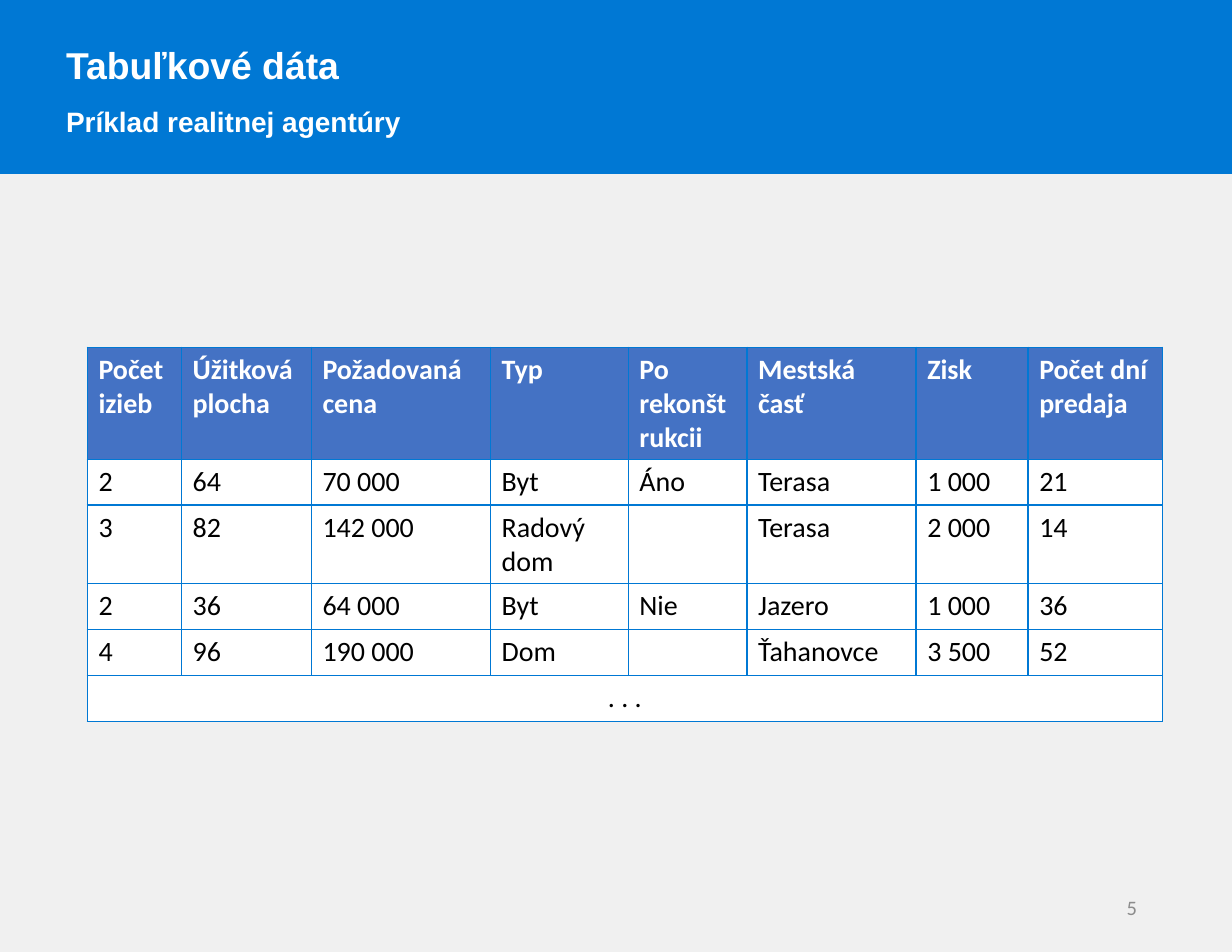
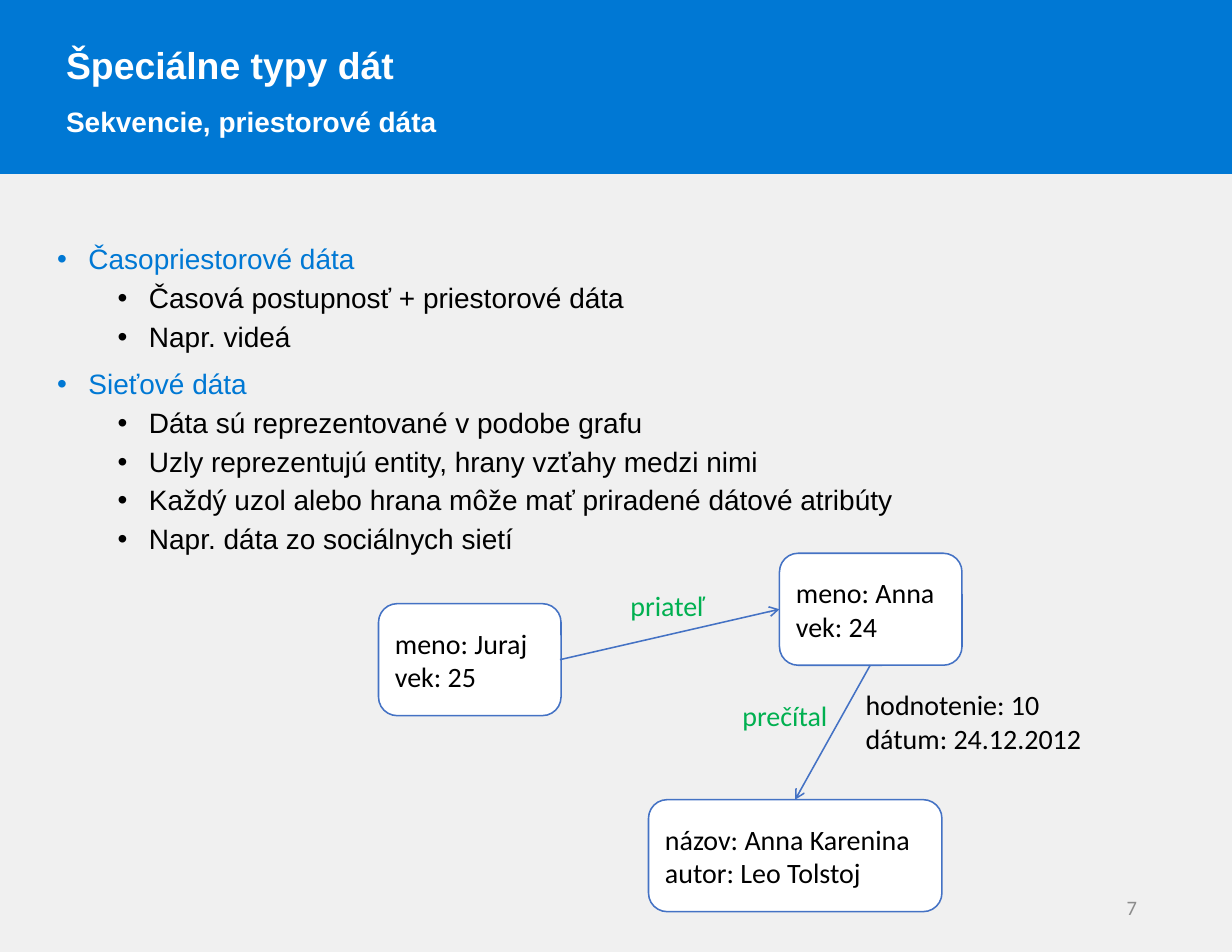
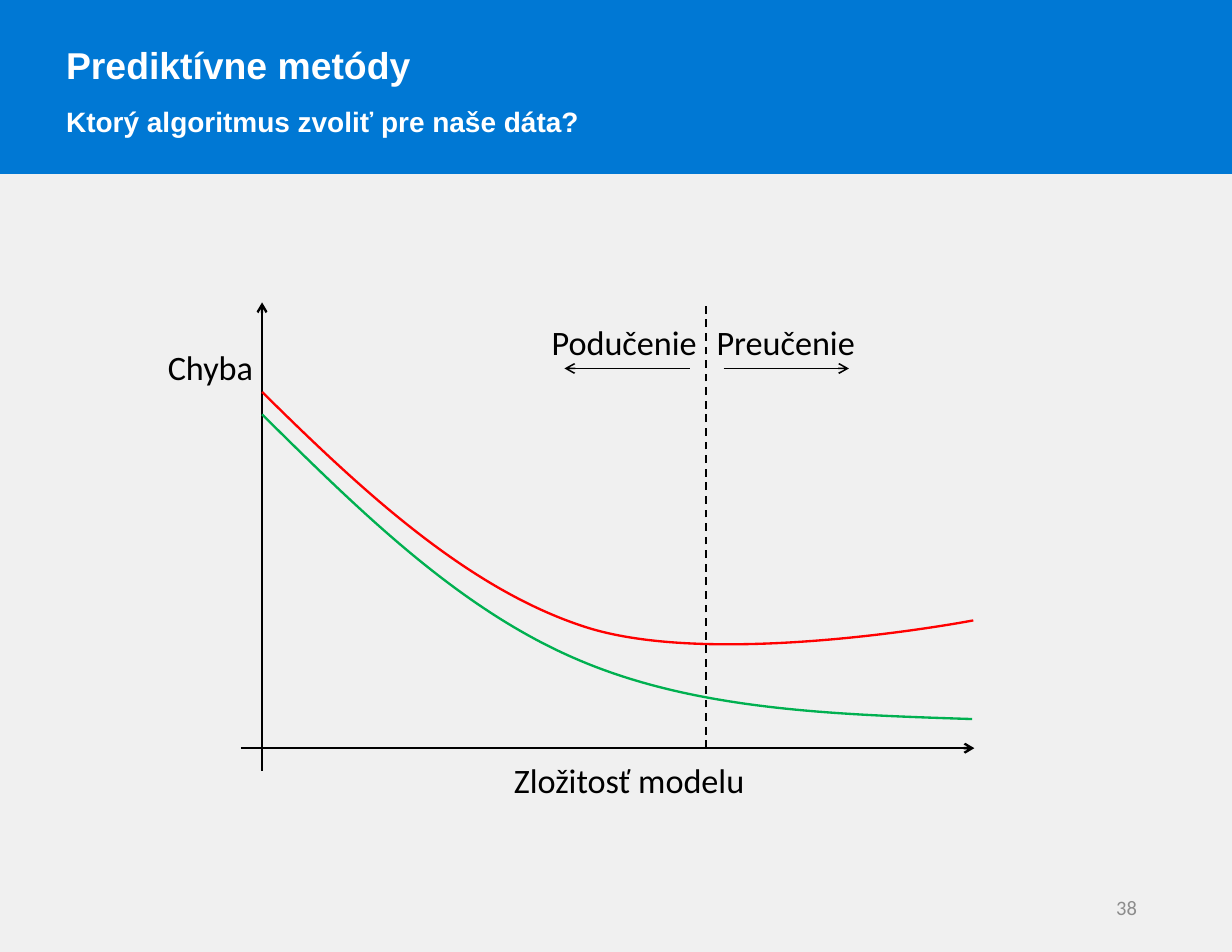
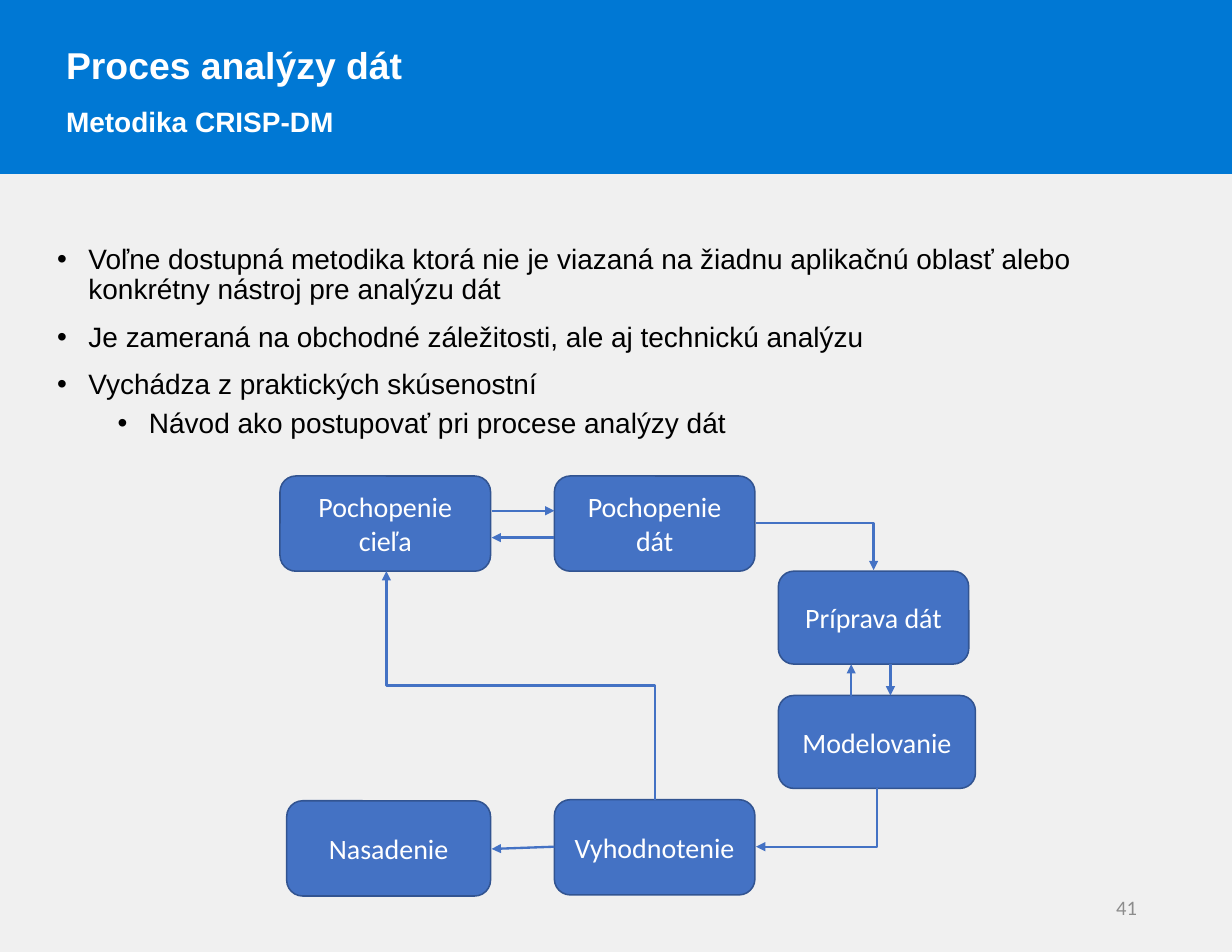
import pptx
import pptx.dml.color
import pptx.enum.dml
import pptx.enum.shapes
import pptx.enum.text
import pptx.oxml
import pptx.oxml.ns
import pptx.util
from lxml import etree

Inches = pptx.util.Inches
Pt = pptx.util.Pt
RGBColor = pptx.dml.color.RGBColor
ALIGN = pptx.enum.text.PP_ALIGN
ANCHOR = pptx.enum.text.MSO_ANCHOR
AUTO_SIZE = pptx.enum.text.MSO_AUTO_SIZE
SHAPE = pptx.enum.shapes.MSO_SHAPE
CONNECTOR = pptx.enum.shapes.MSO_CONNECTOR
DASH = pptx.enum.dml.MSO_LINE.DASH
qn = pptx.oxml.ns.qn

BRAND = RGBColor(0x00, 0x78, 0xD4)
PAGE = RGBColor(0xF0, 0xF0, 0xF0)
BLUE = RGBColor(0x44, 0x72, 0xC4)
NAVY = RGBColor(0x32, 0x54, 0x91)
GREEN = RGBColor(0x00, 0xB0, 0x50)
RED = RGBColor(0xFF, 0x00, 0x00)
GRAY = RGBColor(0x8C, 0x8C, 0x8C)
BLACK = RGBColor(0x00, 0x00, 0x00)
WHITE = RGBColor(0xFF, 0xFF, 0xFF)

TITLE_ONLY, TITLE_AND_BODY = 5, 1
INDENT = 0.28
LEVELS = [
    {"margin": 0.28, "before": 11},
    {"margin": 0.82, "before": 5.5},
]


def apply(obj, values):
    for name, value in values.items():
        setattr(obj, name, value)


def place(shape, at):
    names = ("left", "top", "width", "height")
    apply(shape, dict(zip(names, map(Inches, at))))


def add_run(p, text, color=BLACK, size=18, name="Calibri", bold=False):
    r = p.add_run()
    r.text = text
    apply(r.font, {"size": Pt(size), "name": name, "bold": bold})
    r.font.color.rgb = color


def write(tf, lines, align=ALIGN.LEFT, **font):
    for i, line in enumerate(lines):
        p = tf.add_paragraph() if i else tf.paragraphs[0]
        p.alignment = align
        add_run(p, line, **font)


def set_line(line, color, width):
    line.color.rgb = color
    line.width = Pt(width)


def add_box(s, kind, at, fill, line):
    sp = s.shapes.add_shape(kind, *map(Inches, at))
    sp.shadow.inherit = False
    sp.fill.solid()
    sp.fill.fore_color.rgb = fill
    set_line(sp.line, line, 1)
    return sp


def add_node(s, at, lines, fill, line, color, align):
    sp = add_box(s, SHAPE.ROUNDED_RECTANGLE, at, fill, line)
    apply(sp.text_frame, {"word_wrap": True, "vertical_anchor": ANCHOR.MIDDLE})
    write(sp.text_frame, lines, align, color=color)


def add_label(s, at, lines, align=ALIGN.LEFT, wrap=False, **font):
    tf = s.shapes.add_textbox(*map(Inches, at)).text_frame
    apply(tf, {"word_wrap": wrap, "auto_size": AUTO_SIZE.SHAPE_TO_FIT_TEXT})
    write(tf, lines, align, **font)


def add_line(s, start, end, color, width, arrow=None, dash=None, kind=CONNECTOR.STRAIGHT):
    c = s.shapes.add_connector(kind, *map(Inches, (*start, *end)))
    set_line(c.line, color, width)
    if dash:
        c.line.dash_style = dash
    if arrow:
        tail = etree.SubElement(c.line._get_or_add_ln(), qn("a:tailEnd"))
        tail.set("type", arrow)
    etree.SubElement(c._element.spPr, qn("a:effectLst"))
    return c


def add_elbow(s, at, preset, rotation=0, flip=False):
    x, y, w, h = at
    c = add_line(s, (x, y), (x + w, y + h), BLUE, 1.5, "triangle", kind=CONNECTOR.ELBOW)
    spPr = c._element.spPr
    spPr.find(qn("a:prstGeom")).set("prst", preset)
    xfrm = spPr.find(qn("a:xfrm"))
    if rotation:
        xfrm.set("rot", str(rotation * 60000))
    if flip:
        xfrm.set("flipV", "1")


def add_curve(s, points, height, color):
    start, *rest = [(Inches(x), Inches(y)) for x, y in points]
    builder = s.shapes.build_freeform(*start, scale=1.0)
    builder.add_line_segments(rest, close=False)
    sp = builder.convert_to_shape()
    sp.shadow.inherit = False
    sp.fill.background()
    set_line(sp.line, color, 1.5)
    sp.height = Inches(height)
    outline = sp._element.spPr.find(".//" + qn("a:path"))
    outline.set("h", str(sp.height))
    segments = outline.findall(qn("a:lnTo"))
    for i in range(0, len(segments), 3):
        bezier = etree.SubElement(outline, qn("a:cubicBezTo"))
        for segment in segments[i:i + 3]:
            bezier.append(segment[0])
            outline.remove(segment)


def add_bullets(s, items):
    body = s.placeholders[1]
    place(body, (0.41, 2.14, 10.18, 5.74))
    tf = body.text_frame
    apply(tf, {"auto_size": AUTO_SIZE.NONE, "vertical_anchor": ANCHOR.TOP})
    for i, (level, text, color) in enumerate(items):
        p = tf.add_paragraph() if i else tf.paragraphs[0]
        rule = LEVELS[level]
        before = rule["before"] if i else 0
        apply(p, {"level": level, "line_spacing": 0.9, "space_before": Pt(before)})
        pPr = p._p.get_or_add_pPr()
        pPr.set("marL", str(Inches(rule["margin"])))
        pPr.set("indent", str(-Inches(INDENT)))
        etree.SubElement(pPr, qn("a:buFont")).set("typeface", "Arial")
        etree.SubElement(pPr, qn("a:buChar")).set("char", "•")
        add_run(p, text, color, name="Arial")


def set_borders(cell, color, width):
    tcPr = cell._tc.get_or_add_tcPr()
    for side in ("a:lnL", "a:lnR", "a:lnT", "a:lnB"):
        ln = etree.SubElement(tcPr, qn(side))
        ln.set("w", str(Pt(width)))
        fill = etree.SubElement(ln, qn("a:solidFill"))
        etree.SubElement(fill, qn("a:srgbClr")).set("val", str(color))


def add_grid(s, at, widths, rows, footer):
    frame = s.shapes.add_table(len(rows) + 1, len(widths), *map(Inches, at))
    table = frame.table
    for column, width in zip(table.columns, widths):
        column.width = Inches(width)
    for i, row in enumerate(table.rows):
        for cell in row.cells:
            set_borders(cell, BRAND, 1)
            cell.fill.solid()
            cell.fill.fore_color.rgb = WHITE if i else BLUE
    for i, row in enumerate(rows):
        font = {"color": BLACK} if i else {"color": WHITE, "bold": True}
        for j, text in enumerate(row):
            if text:
                write(table.cell(i, j).text_frame, [text], **font)
    last = len(rows)
    table.cell(last, 0).merge(table.cell(last, len(widths) - 1))
    write(table.cell(last, 0).text_frame, [footer], ALIGN.CENTER)


def add_slide(prs, layout, title, subtitle, number):
    s = prs.slides.add_slide(prs.slide_layouts[layout])
    band = add_box(s, SHAPE.RECTANGLE, (0, 0, 11, 1.55), BRAND, BRAND)
    s.shapes._spTree.insert(2, band._element)
    place(s.shapes.title, (0.49, 0.13, 10.18, 1.11))
    tf = s.shapes.title.text_frame
    apply(tf, {"auto_size": AUTO_SIZE.SHAPE_TO_FIT_TEXT, "vertical_anchor": ANCHOR.TOP})
    for i, (text, size) in enumerate(((title, 24), (subtitle, 18))):
        p = tf.add_paragraph() if i else tf.paragraphs[0]
        apply(p, {"alignment": ALIGN.LEFT, "line_spacing": 1.5, "space_before": Pt(0)})
        add_run(p, text, WHITE, size, "Arial", True)
    tf = s.shapes.add_textbox(*map(Inches, (7.77, 7.88, 2.48, 0.45))).text_frame
    apply(tf, {"word_wrap": True, "vertical_anchor": ANCHOR.MIDDLE})
    write(tf, [str(number)], ALIGN.RIGHT, color=GRAY, size=13.2)
    return s


def table_slide(prs):
    s = add_slide(prs, TITLE_ONLY, "Tabuľkové dáta", "Príklad realitnej agentúry", 5)
    widths = (0.84, 1.16, 1.6, 1.23, 1.06, 1.51, 1, 1.2)
    rows = [
        ("Počet izieb", "Úžitková plocha", "Požadovaná cena", "Typ",
         "Po rekonštrukcii", "Mestská časť", "Zisk", "Počet dní predaja"),
        ("2", "64", "70 000", "Byt", "Áno", "Terasa", "1 000", "21"),
        ("3", "82", "142 000", "Radový dom", "", "Terasa", "2 000", "14"),
        ("2", "36", "64 000", "Byt", "Nie", "Jazero", "1 000", "36"),
        ("4", "96", "190 000", "Dom", "", "Ťahanovce", "3 500", "52"),
    ]
    add_grid(s, (0.78, 3.1, 9.6, 2.46), widths, rows, ". . .")


def network_slide(prs):
    s = add_slide(prs, TITLE_AND_BODY, "Špeciálne typy dát", "Sekvencie, priestorové dáta", 7)
    add_bullets(s, [
        (0, "Časopriestorové dáta", BRAND),
        (1, "Časová postupnosť + priestorové dáta", BLACK),
        (1, "Napr. videá", BLACK),
        (0, "Sieťové dáta", BRAND),
        (1, "Dáta sú reprezentované v podobe grafu", BLACK),
        (1, "Uzly reprezentujú entity, hrany vzťahy medzi nimi", BLACK),
        (1, "Každý uzol alebo hrana môže mať priradené dátové atribúty", BLACK),
        (1, "Napr. dáta zo sociálnych sietí", BLACK),
    ])
    for at, lines in (
        ((3.38, 5.39, 1.63, 1), ("meno: Juraj", "vek: 25")),
        ((6.96, 4.94, 1.63, 1), ("meno: Anna", "vek: 24")),
        ((5.79, 7.14, 2.62, 1), ("názov: Anna Karenina", "autor: Leo Tolstoj")),
    ):
        add_node(s, at, lines, WHITE, BLUE, BLACK, ALIGN.LEFT)
    add_line(s, (5, 5.89), (6.96, 5.44), BLUE, 1, "arrow")
    add_line(s, (7.77, 5.94), (7.1, 7.14), BLUE, 1, "arrow")
    add_label(s, (5.53, 5.21, 0.87, 0.4), ["priateľ"], color=GREEN)
    add_label(s, (6.53, 6.19, 1, 0.4), ["prečítal"], wrap=True, color=GREEN)
    add_label(s, (7.63, 6.09, 2.15, 0.71), ["hodnotenie: 10", "dátum: 24.12.2012"])


def error_slide(prs):
    s = add_slide(prs, TITLE_ONLY, "Prediktívne metódy",
                  "Ktorý algoritmus zvoliť pre naše dáta?", 38)
    add_line(s, (2.34, 6.88), (2.34, 2.7), BLACK, 1.5, "arrow")
    add_line(s, (2.15, 6.68), (8.7, 6.68), BLACK, 1.5, "arrow")
    training = [(2.34, 3.7), (3.22, 4.57), (4.1, 5.44), (5.16, 5.89),
                (6.21, 6.34), (7.44, 6.38), (8.68, 6.42)]
    testing = [(2.34, 3.5), (3.22, 4.37), (4.17, 5.26), (5.23, 5.6),
               (6.29, 5.94), (8.26, 5.62), (8.69, 5.54)]
    add_curve(s, training, 2.72, GREEN)
    add_curve(s, testing, 2.26, RED)
    add_line(s, (6.3, 6.68), (6.3, 2.7), BLACK, 1.25, dash=DASH)
    for at, text, align in (
        ((4.49, 6.73, 2.28, 0.47), "Zložitosť modelu", ALIGN.LEFT),
        ((1.4, 3.04, 0.97, 0.47), "Chyba", ALIGN.LEFT),
        ((4.81, 2.82, 1.51, 0.47), "Podučenie", ALIGN.RIGHT),
        ((6.3, 2.82, 1.45, 0.47), "Preučenie", ALIGN.LEFT),
    ):
        add_label(s, at, [text], align, size=22)
    add_line(s, (6.46, 3.29), (7.58, 3.29), BLACK, 1, "arrow")
    add_line(s, (6.16, 3.29), (5.04, 3.29), BLACK, 1, "arrow")


def process_slide(prs):
    s = add_slide(prs, TITLE_AND_BODY, "Proces analýzy dát", "Metodika CRISP-DM", 41)
    add_bullets(s, [
        (0, "Voľne dostupná metodika ktorá nie je viazaná na žiadnu aplikačnú "
            "oblasť alebo konkrétny nástroj pre analýzu dát", BLACK),
        (0, "Je zameraná na obchodné záležitosti, ale aj technickú analýzu", BLACK),
        (0, "Vychádza z praktických skúsenostní", BLACK),
        (1, "Návod ako postupovať pri procese analýzy dát", BLACK),
    ])
    for at, text in (
        ((2.5, 4.25, 1.88, 0.85), "Pochopenie cieľa"),
        ((4.95, 4.25, 1.79, 0.85), "Pochopenie dát"),
        ((6.95, 5.1, 1.7, 0.83), "Príprava dát"),
        ((6.95, 6.21, 1.76, 0.83), "Modelovanie"),
        ((4.95, 7.14, 1.79, 0.85), "Vyhodnotenie"),
        ((2.56, 7.15, 1.82, 0.85), "Nasadenie"),
    ):
        add_node(s, at, [text], BLUE, NAVY, WHITE, ALIGN.CENTER)
    for start, end in (
        ((4.39, 4.56), (4.95, 4.56)),
        ((4.95, 4.8), (4.39, 4.8)),
        ((7.6, 6.21), (7.6, 5.93)),
        ((7.95, 5.93), (7.95, 6.21)),
        ((4.95, 7.56), (4.39, 7.58)),
    ):
        add_line(s, start, end, BLUE, 1.5, "triangle")
    add_elbow(s, (3.63, 4.92, 2.04, 2.4), "bentConnector3", 270, True)
    add_elbow(s, (6.75, 4.67, 1.05, 0.42), "bentConnector2")
    add_elbow(s, (7.03, 6.76, 0.52, 1.08), "bentConnector2", 90)


def main():
    prs = pptx.Presentation()
    apply(prs, {"slide_width": Inches(11), "slide_height": Inches(8.5)})
    background = prs.slide_master.background.fill
    background.solid()
    background.fore_color.rgb = PAGE
    for build in (table_slide, network_slide, error_slide, process_slide):
        build(prs)
    prs.save("out.pptx")


if __name__ == "__main__":
    main()
